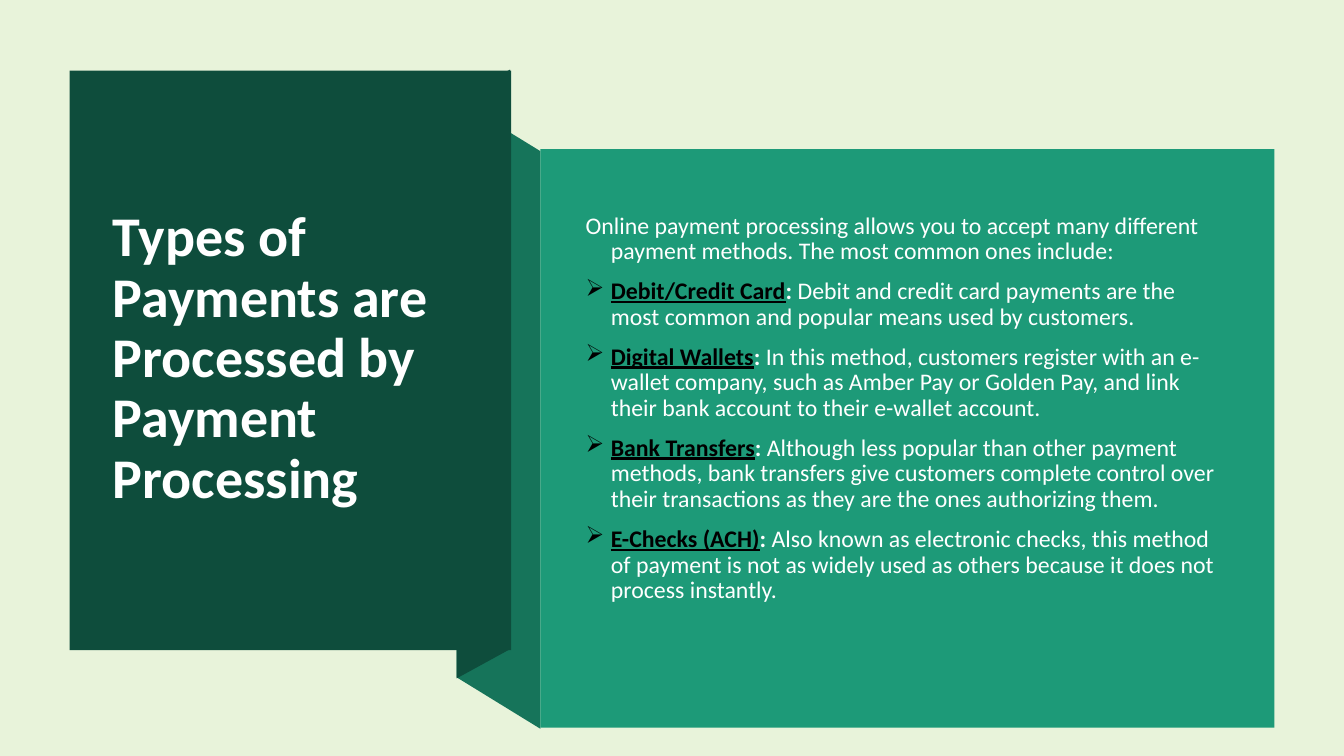
from lxml.etree import SubElement
from pptx import Presentation
from pptx.dml.color import RGBColor
from pptx.enum.shapes import MSO_SHAPE
from pptx.enum.text import MSO_ANCHOR, MSO_AUTO_SIZE, PP_ALIGN
from pptx.oxml.ns import qn
from pptx.util import Inches, Pt

FONT = "Calibri"
CREAM, WHITE, BLACK = "E8F3DA", "FFFFFF", "000000"
DARK, MEDIUM, BRIGHT = "0E4D3C", "16745A", "1D9A78"

INTRO = ("Online payment processing allows you to accept many different "
         "payment methods. The most common ones include:")
METHODS = [
    ("Debit/Credit Card",
     "Debit and credit card payments are the most common and popular means "
     "used by customers."),
    ("Digital Wallets",
     "In this method, customers register with an e-wallet company, such as "
     "Amber Pay or Golden Pay, and link their bank account to their e-wallet "
     "account."),
    ("Bank Transfers",
     "Although less popular than other payment methods, bank transfers give "
     "customers complete control over their transactions as they are the ones "
     "authorizing them."),
    ("E-Checks (ACH)",
     "Also known as electronic checks, this method of payment is not as widely "
     "used as others because it does not process instantly."),
]


def color(value):
    return RGBColor.from_string(value)


def paint(shape, fill):
    shape.shadow.inherit = False
    shape.fill.solid()
    shape.fill.fore_color.rgb = color(fill)
    shape.line.fill.background()


def add_fold(page, points, fill):
    corners = [(Inches(x), Inches(y)) for x, y in points]
    builder = page.shapes.build_freeform(*corners[0], scale=1.0)
    builder.add_line_segments(corners[1:], close=True)
    paint(builder.convert_to_shape(), fill)


def add_panel(page, left, top, width, height, fill):
    panel = page.shapes.add_shape(
        MSO_SHAPE.RECTANGLE, Inches(left), Inches(top), Inches(width), Inches(height))
    paint(panel, fill)


def set_frame(box):
    frame = box.text_frame
    frame.word_wrap = True
    frame.auto_size = MSO_AUTO_SIZE.NONE
    frame.vertical_anchor = MSO_ANCHOR.MIDDLE
    return frame


def add_span(para, text, size, fill, bold=False, underline=False):
    span = para.add_run()
    span.text = text
    span.font.name = FONT
    span.font.size = Pt(size)
    span.font.color.rgb = color(fill)
    span.font.bold = bold
    span.font.underline = underline


def format_para(para, bullet=None):
    para.alignment = PP_ALIGN.LEFT
    para.line_spacing = 0.9
    para.space_before = Pt(10)
    properties = para._p.get_or_add_pPr()
    properties.set("marL", str(Inches(0.25)))
    properties.set("indent", str(Inches(-0.25)))
    if bullet:
        SubElement(properties, qn("a:buChar")).set("char", bullet)
    else:
        SubElement(properties, qn("a:buNone"))


def place_title(page, text):
    title = page.shapes.title
    title.left, title.top = Inches(1.02), Inches(1.07)
    title.width, title.height = Inches(3.71), Inches(4.99)
    para = set_frame(title).paragraphs[0]
    para.alignment = PP_ALIGN.LEFT
    para.line_spacing = 0.9
    add_span(para, text, 40, WHITE, bold=True)
    page.shapes._spTree.append(title._element)


def add_methods(page):
    box = page.shapes.add_textbox(Inches(5.71), Inches(1.88), Inches(6.51), Inches(4.35))
    frame = set_frame(box)
    para = frame.paragraphs[0]
    format_para(para)
    add_span(para, INTRO, 17, WHITE)
    for name, description in METHODS:
        para = frame.add_paragraph()
        format_para(para, "➢")
        add_span(para, name, 17, BLACK, bold=True, underline=True)
        add_span(para, ":", 17, WHITE, bold=True)
        add_span(para, " " + description, 17, WHITE)


def main():
    deck = Presentation()
    deck.slide_width, deck.slide_height = Inches(13.33), Inches(7.5)
    page = deck.slides.add_slide(deck.slide_layouts[5])
    page.background.fill.solid()
    page.background.fill.fore_color.rgb = color(CREAM)

    add_fold(page, [(5.36, 7.23), (4.53, 6.72), (4.53, 0.99), (5.36, 1.5)], MEDIUM)
    add_fold(page, [(5.06, 6.44), (4.53, 6.73), (4.53, 0.98), (5.06, 0.69)], DARK)
    add_panel(page, 0.69, 0.7, 4.38, 5.75, DARK)
    add_panel(page, 5.36, 1.48, 7.28, 5.74, BRIGHT)
    place_title(page, "Types of Payments are Processed by Payment Processing")
    add_methods(page)
    deck.save("out.pptx")


main()
